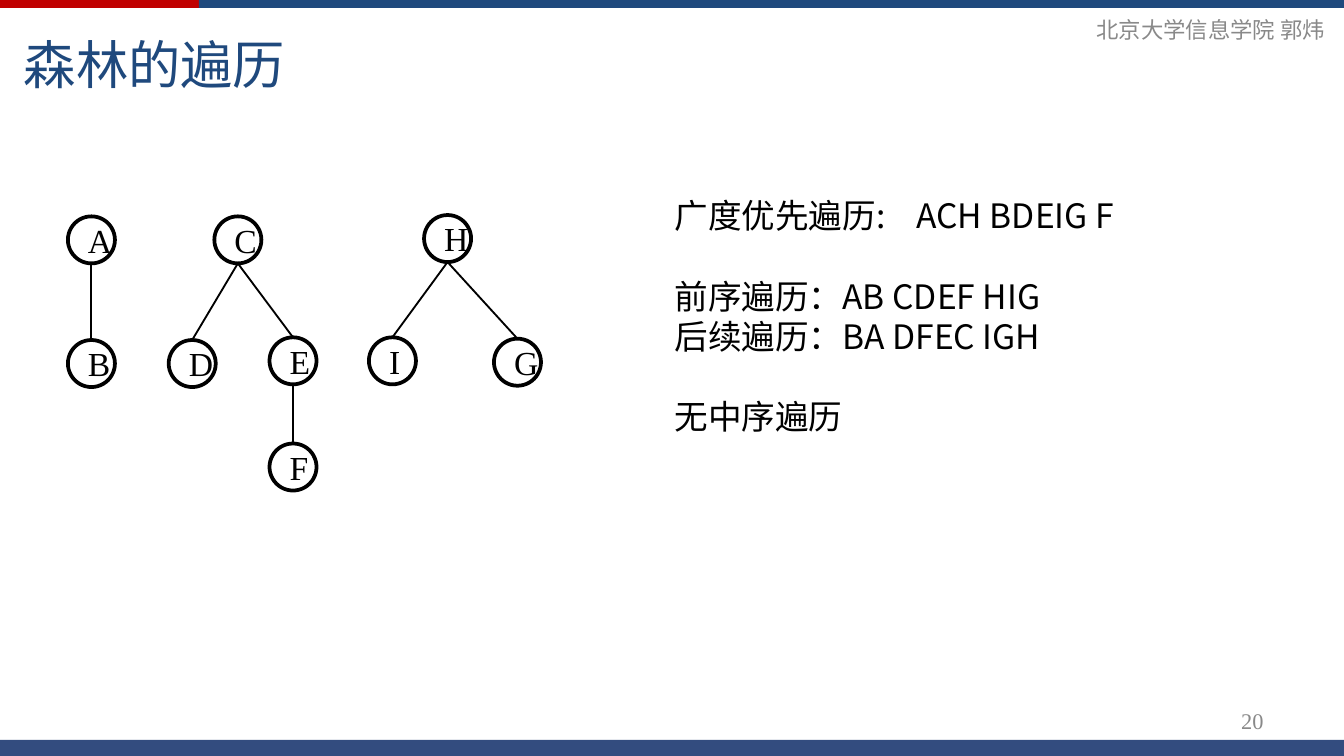
from lxml.etree import SubElement
from pptx import Presentation
from pptx.dml.color import RGBColor
from pptx.enum.shapes import MSO_CONNECTOR, MSO_SHAPE
from pptx.enum.text import MSO_ANCHOR, PP_ALIGN
from pptx.oxml.ns import qn
from pptx.util import Inches, Pt

RED = RGBColor(0xC0, 0x00, 0x00)
BLUE = RGBColor(0x1F, 0x49, 0x7D)
NAVY = RGBColor(0x00, 0x20, 0x60)
GRAY = RGBColor(0x89, 0x89, 0x89)
BLACK = RGBColor(0x00, 0x00, 0x00)
SERIF, SANS, CJK = "Times New Roman", "Arial", "Noto Sans CJK SC"

SLIDE_W = 10
SLIDE_H = SLIDE_W * 9 / 16
NODE = 0.35      # node diameter
LINE_PITCH = Pt(21.6)
ORDER_TAB = Inches(1.8)

# Node centre across and node top, relative to the forest box
NODES = {
    "A": (0.17, 0.01), "B": (0.17, 0.93),
    "C": (1.26, 0.01), "D": (0.92, 0.93), "E": (1.67, 0.91), "F": (1.67, 1.70),
    "H": (2.82, 0), "I": (2.41, 0.91), "G": (3.34, 0.92),
}
EDGES = ["AB", "CD", "CE", "EF", "HI", "HG"]

# Text and whether a gap comes before it
TRAVERSALS = [
    ("广度优先遍历:\tACH BDEIG F", False),
    ("前序遍历：AB CDEF HIG", True),
    ("后续遍历：BA DFEC IGH", False),
    ("无中序遍历", True),
]


def set_font(p, size, name, color):
    p.font.size, p.font.name = Pt(size), name
    p.font.color.rgb = color
    for r in p.runs:
        SubElement(r._r.get_or_add_rPr(), qn("a:ea"), typeface=CJK)


def add_bar(slide, x, y, w, h, color, alpha=None):
    bar = slide.shapes.add_shape(MSO_SHAPE.RECTANGLE, Inches(x), Inches(y), Inches(w), Inches(h))
    bar.shadow.inherit = False
    bar.fill.solid()
    bar.fill.fore_color.rgb = color
    bar.line.fill.background()
    if alpha:
        rgb = bar.fill._xPr.find(".//" + qn("a:srgbClr"))
        SubElement(rgb, qn("a:alpha"), val=str(alpha * 1000))


def add_text_frame(slide, x, y, w, h, anchor=MSO_ANCHOR.MIDDLE):
    box = slide.shapes.add_textbox(Inches(x), Inches(y), Inches(w), Inches(h))
    tf = box.text_frame
    tf.word_wrap = True
    tf.vertical_anchor = anchor
    return tf


def add_label(slide, x, y, w, h, text, size, name, color, align=PP_ALIGN.LEFT):
    p = add_text_frame(slide, x, y, w, h).paragraphs[0]
    p.text, p.alignment = text, align
    set_font(p, size, name, color)


def add_frame(slide, w, h):
    """Bars, author, title and page number."""
    split = 1.48
    add_bar(slide, 0, 0, w, 0.06, RED)
    add_bar(slide, split, 0, w - split, 0.06, BLUE)
    add_bar(slide, 0, h - 0.12, w, 0.12, NAVY, alpha=80)
    add_label(slide, w - 2.37, 0.07, 2.33, 0.3, "北京大学信息学院 郭炜", 12, SERIF, GRAY, PP_ALIGN.RIGHT)
    add_label(slide, 0.08, 0.16, w - 0.08, 0.62, "森林的遍历", 28, SANS, BLUE)
    add_label(slide, w - 2.83, h - 0.41, 2.33, 0.3, "20", 12, SERIF, GRAY, PP_ALIGN.RIGHT)


def add_edge(slide, x1, y1, x2, y2):
    edge = slide.shapes.add_connector(
        MSO_CONNECTOR.STRAIGHT, Inches(x1), Inches(y1), Inches(x2), Inches(y2))
    edge.line.color.rgb, edge.line.width = BLACK, Pt(1)
    SubElement(edge._element.spPr, qn("a:effectLst"))


def add_node(slide, letter, x, y):
    node = slide.shapes.add_shape(
        MSO_SHAPE.OVAL, Inches(x - NODE / 2), Inches(y), Inches(NODE), Inches(NODE))
    node.shadow.inherit = False
    node.fill.background()
    node.line.color.rgb, node.line.width = BLACK, Pt(2)
    p = node.text_frame.paragraphs[0]
    p.text, p.alignment = letter, PP_ALIGN.CENTER
    set_font(p, 18, SERIF, BLACK)


def add_forest(slide, x, y):
    """Three trees: edges run from a parent's bottom to a child's top."""
    for parent, child in EDGES:
        (px, py), (cx, cy) = NODES[parent], NODES[child]
        add_edge(slide, x + px, y + py + NODE, x + cx, y + cy)
    for letter, (nx, ny) in NODES.items():
        add_node(slide, letter, x + nx, y + ny)


def add_traversals(slide, x, y, w, h):
    """List of traversal orders."""
    tf = add_text_frame(slide, x, y, w, h, MSO_ANCHOR.TOP)
    for i, (text, gap) in enumerate(TRAVERSALS):
        p = tf.add_paragraph() if i else tf.paragraphs[0]
        p.text = text
        p.line_spacing = LINE_PITCH
        p.space_before = LINE_PITCH if gap else Pt(0)
        # Tab stop where the order starts
        tabs = SubElement(p._p.get_or_add_pPr(), qn("a:tabLst"))
        SubElement(tabs, qn("a:tab"), pos=str(ORDER_TAB), algn="l")
        set_font(p, 18, CJK, BLACK)


def main():
    prs = Presentation()
    prs.slide_width, prs.slide_height = Inches(SLIDE_W), Inches(SLIDE_H)
    slide = prs.slides.add_slide(prs.slide_layouts[6])
    add_frame(slide, SLIDE_W, SLIDE_H)
    add_traversals(slide, 4.92, 1.4, 4.33, 2.52)
    add_forest(slide, 0.51, 1.6)
    prs.save("out.pptx")


if __name__ == "__main__":
    main()
